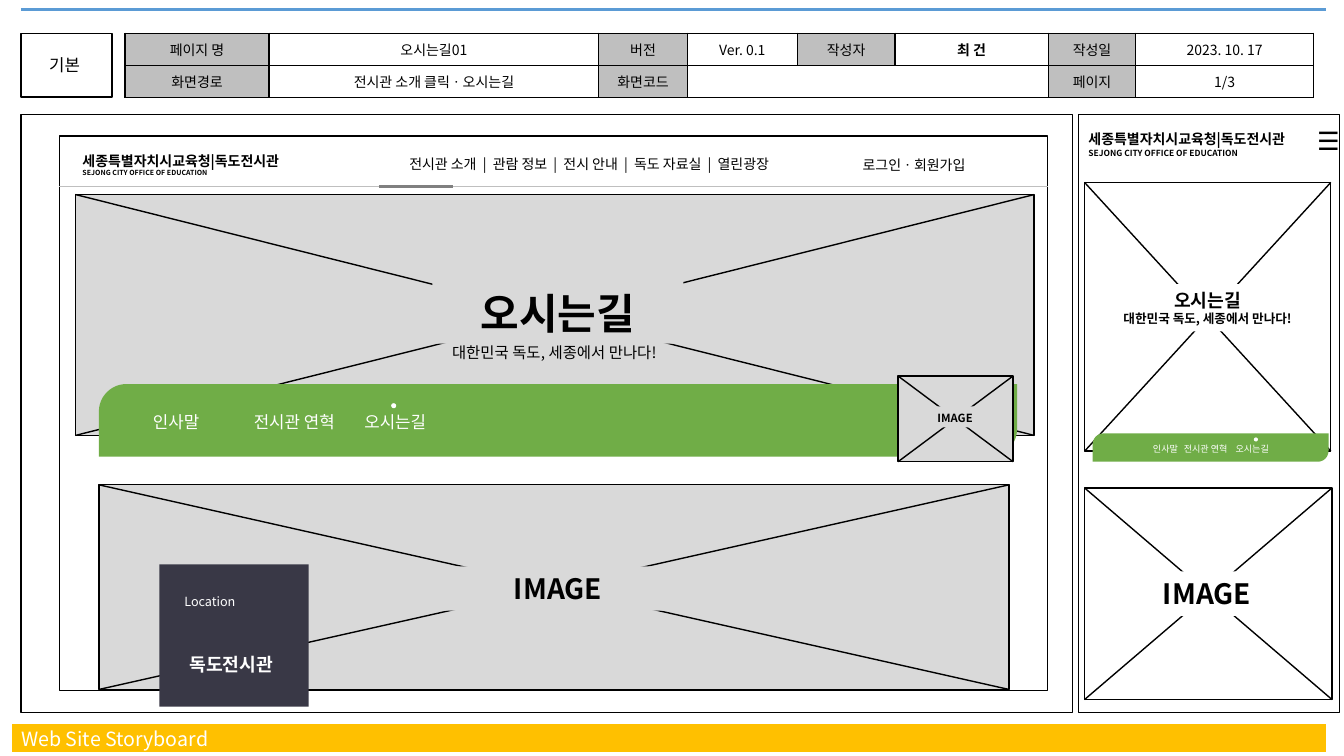
"""Build a website storyboard slide with desktop and mobile wireframes."""
from lxml import etree
from pptx import Presentation
from pptx.dml.color import RGBColor
from pptx.enum.shapes import MSO_CONNECTOR, MSO_SHAPE
from pptx.enum.text import MSO_ANCHOR, MSO_AUTO_SIZE, PP_ALIGN
from pptx.oxml.ns import qn
from pptx.util import Pt

LEFT, CENTER = PP_ALIGN.LEFT, PP_ALIGN.CENTER
TOP, MIDDLE = MSO_ANCHOR.TOP, MSO_ANCHOR.MIDDLE
FIT = MSO_AUTO_SIZE.SHAPE_TO_FIT_TEXT
STRAIGHT = MSO_CONNECTOR.STRAIGHT
RECTANGLE, OVAL = MSO_SHAPE.RECTANGLE, MSO_SHAPE.OVAL
DIAGONAL_ROUND = MSO_SHAPE.ROUND_2_DIAG_RECTANGLE

FONT = "Noto Sans CJK KR"
BLACK, WHITE, GRAY, LABEL_GRAY = "000000", "FFFFFF", "D9D9D9", "BFBFBF"
GREEN, NAVY, BLUE, YELLOW, DARK_GRAY = "70AD47", "393846", "5B9BD5", "FFC000", "808080"

TITLE = "Web Site Storyboard"
PAGE_NAME = "오시는길"
SLOGAN = "대한민국 독도, 세종에서 만나다!"
SITE_NAME = "세종특별자치시교육청|독도전시관"
OFFICE = "SEJONG CITY OFFICE OF EDUCATION"
MENU = ["전시관 소개", "관람 정보", "전시 안내", "독도 자료실", "열린광장"]
SUBMENU = ["인사말", "전시관 연혁", "오시는길"]

HEADER_ROWS = [
    ["페이지 명", "오시는길01", "버전", "Ver. 0.1", "작성자", "최 건", "작성일", "2023. 10. 17"],
    ["화면경로", "전시관 소개 클릭ㆍ오시는길", "화면코드", "", "", "", "페이지", "1/3"],
]
HEADER_EDGES = [89.3, 192.2, 427.7, 491, 569.5, 639.4, 748.8, 811.4, 938.2]
HEADER_TOP, HEADER_ROW_HEIGHT = 23.8, 22.8
AUTHOR = "최 건"

DESKTOP_PANELS = [(15, 82, 751, 427), (15, 23.8, 65, 45.4), (42.5, 97.2, 705.6, 396)]
MOBILE_PANEL = (770.4, 82, 186.5, 427)
HERO = ((54, 139, 684.7, 172), GRAY, (308.9, 201.6, 179.3, 43.9), [(PAGE_NAME, 30)])
BANNER = ((641.5, 268.6, 82.1, 61.2), GRAY, (659.5, 290.2, 45.4, 15.1), [("IMAGE", 8)])
LOCATION = ((70.6, 346.3, 650.2, 146.2), GRAY, (315.4, 404.6, 166.3, 31.7), [("IMAGE", 20)])
MOBILE_IMAGES = [
    ((774.7, 130.3, 175.9, 192), WHITE, (786.2, 203, 152.6, 33.8), [(PAGE_NAME, 13), (SLOGAN, 9)]),
    ((774.7, 348.5, 176.8, 151.2), WHITE, (816.5, 408.2, 91.4, 31.7), [("IMAGE", 20)]),
]
DESKTOP_TEXTS = [
    ((28.1, 35.3, 38.9, 25.9), [("기본", 12)], {}),
    ((51.8, 105.1, 181.4, 25.2), [(SITE_NAME, 10), (OFFICE, 5)], {"bold": True}),
    ((260.6, 107.3, 320.4, 19.4), [("  |  ".join(MENU), 10)], {"align": CENTER}),
    ((609.1, 108, 95, 19.4), [("로그인ㆍ회원가입", 10)], {}),
    ((293, 241.2, 205.9, 20.9), [(SLOGAN, 11)], {"align": CENTER}),
]
CARD = (113.8, 403.2, 106.6, 101.5)
CARD_TEXTS = [
    ((124.6, 420.5, 54.7, 14.4), [("Location", 9)], {"color": WHITE}),
    ((128.2, 463, 82.1, 18.7), [("독도전시관", 13)], {"color": WHITE, "bold": True}),
]
MOBILE_TEXTS = [
    ((933.8, 85.7, 21.6, 31.7), [("☰", 18)], {"align": CENTER}),
    ((770.4, 90, 168.5, 28.8), [(SITE_NAME, 10), (OFFICE, 6)], {"bold": True}),
]
SUBMENU_BARS = {
    "desktop": ((70.6, 274.3, 655.9, 51.8), (102.2, 290.2, 240, 21.6), 12, (72, 151), (279.4, 288, 3.6)),
    "mobile": ((780.5, 309.6, 168.5, 20.2), (816.5, 313.2, 120, 15.1), 6.5, (22, 59), (895.7, 312.5, 2.9)),
}
TOP_RULE = (15, 6.8, 946.8, 6.8)
FOOTER_BAND = (8.6, 527, 946.8, 527)
MENU_RULES = [((42.5, 133.2, 748.8, 133.2), LABEL_GRAY, 0.5), ((270.7, 133.2, 323.3, 133.2), DARK_GRAY, 2.25)]


def rgb(value):
    return RGBColor.from_string(value)


def points(values):
    return [Pt(value) for value in values]


def write_text(frame, lines, align=LEFT, color=BLACK, bold=False, tabs=()):
    for name, value in {"word_wrap": True, "auto_size": FIT, "vertical_anchor": TOP}.items():
        setattr(frame, name, value)
    for index, (text, size) in enumerate(lines):
        paragraph = frame.add_paragraph() if index else frame.paragraphs[0]
        write_run(paragraph, text, size, align, color, bold)
        if tabs:
            tab_list = etree.SubElement(paragraph._p.get_or_add_pPr(), qn("a:tabLst"))
            for position in tabs:
                etree.SubElement(tab_list, qn("a:tab"), pos=str(Pt(position)), algn="l")


def write_run(paragraph, text, size, align, color, bold):
    paragraph.alignment = align
    run = paragraph.add_run()
    run.text = text
    for name, value in {"size": Pt(size), "bold": bold, "name": FONT}.items():
        setattr(run.font, name, value)
    run.font.color.rgb = rgb(color)
    etree.SubElement(run.font._element, qn("a:ea"), typeface=FONT)


def add_box(slide, bounds, fill, outline=None, kind=RECTANGLE):
    shape = slide.shapes.add_shape(kind, *points(bounds))
    shape.shadow.inherit = False
    shape.fill.solid()
    shape.fill.fore_color.rgb = rgb(fill)
    if outline:
        shape.line.color.rgb = rgb(outline)
        shape.line.width = Pt(1)
    else:
        shape.line.fill.background()
    return shape


def add_line(slide, ends, color=BLACK, width=1):
    connector = slide.shapes.add_connector(STRAIGHT, *points(ends))
    connector.line.color.rgb = rgb(color)
    connector.line.width = Pt(width)
    etree.SubElement(connector._element.spPr, qn("a:effectLst"))
    return connector


def add_texts(slide, texts):
    for bounds, lines, style in texts:
        write_text(slide.shapes.add_textbox(*points(bounds)).text_frame, lines, **style)


def add_image_box(slide, bounds, fill, label_bounds, lines):
    add_box(slide, bounds, fill, BLACK)
    left, top, width, height = bounds
    right, bottom = left + width, top + height
    add_line(slide, (left, top, right, bottom))
    add_line(slide, (left, bottom, right, top))
    label = add_box(slide, label_bounds, fill)
    write_text(label.text_frame, lines, CENTER, bold=True)


def add_submenu(slide, bar_bounds, text_bounds, size, tabs, marker):
    bar = add_box(slide, bar_bounds, GREEN, kind=DIAGONAL_ROUND)
    bar.adjustments[0], bar.adjustments[1] = 0.38, 0
    add_texts(slide, [(text_bounds, [("\t".join(SUBMENU), size)], {"color": WHITE, "tabs": tabs})])
    left, top, diameter = marker
    add_box(slide, (left, top, diameter, diameter), WHITE, kind=OVAL)


def format_cell(cell, text, fill):
    for name in ("margin_left", "margin_right", "margin_top", "margin_bottom"):
        setattr(cell, name, Pt(0))
    cell.vertical_anchor = MIDDLE
    properties = cell._tc.get_or_add_tcPr()
    for side in ("a:lnL", "a:lnR", "a:lnT", "a:lnB"):
        border = etree.SubElement(properties, qn(side), w=str(Pt(1)))
        solid = etree.SubElement(border, qn("a:solidFill"))
        etree.SubElement(solid, qn("a:srgbClr"), val=BLACK)
    cell.fill.solid()
    cell.fill.fore_color.rgb = rgb(fill)
    paragraph = cell.text_frame.paragraphs[0]
    if text:
        write_run(paragraph, text, 10, CENTER, BLACK, text == AUTHOR)
    else:
        etree.SubElement(paragraph._p, qn("a:endParaRPr"), sz="1000")


def add_header(slide):
    rows, columns = len(HEADER_ROWS), len(HEADER_EDGES) - 1
    bounds = (HEADER_EDGES[0], HEADER_TOP, HEADER_EDGES[-1] - HEADER_EDGES[0], rows * HEADER_ROW_HEIGHT)
    table = slide.shapes.add_table(rows, columns, *points(bounds)).table
    for index, column in enumerate(table.columns):
        column.width = Pt(HEADER_EDGES[index + 1] - HEADER_EDGES[index])
    for row_index, texts in enumerate(HEADER_ROWS):
        for column_index, text in enumerate(texts):
            is_label = text and column_index % 2 == 0
            format_cell(table.cell(row_index, column_index), text, LABEL_GRAY if is_label else WHITE)
    table.cell(1, 3).merge(table.cell(1, 5))


def add_title(slide):
    title = slide.shapes.title
    title.left, title.top, title.width, title.height = points((7.9, 515.5, 187.9, 24.5))
    write_text(title.text_frame, [(TITLE, 14)], color=WHITE)
    band = add_line(slide, FOOTER_BAND, YELLOW, 20)
    title._element.addprevious(band._element)


def main():
    presentation = Presentation()
    presentation.slide_width, presentation.slide_height = Pt(960), Pt(540)
    slide = presentation.slides.add_slide(presentation.slide_layouts[5])
    add_title(slide)
    add_line(slide, TOP_RULE, BLUE, 2.25)
    for bounds in DESKTOP_PANELS:
        add_box(slide, bounds, WHITE, BLACK)
    add_header(slide)
    add_image_box(slide, *HERO)
    add_texts(slide, DESKTOP_TEXTS)
    add_submenu(slide, *SUBMENU_BARS["desktop"])
    add_image_box(slide, *BANNER)
    add_image_box(slide, *LOCATION)
    add_box(slide, CARD, NAVY)
    add_texts(slide, CARD_TEXTS)
    for ends, color, width in MENU_RULES:
        add_line(slide, ends, color, width)
    add_box(slide, MOBILE_PANEL, WHITE, BLACK)
    for image in MOBILE_IMAGES:
        add_image_box(slide, *image)
    add_texts(slide, MOBILE_TEXTS)
    add_submenu(slide, *SUBMENU_BARS["mobile"])
    presentation.save("out.pptx")


if __name__ == "__main__":
    main()
